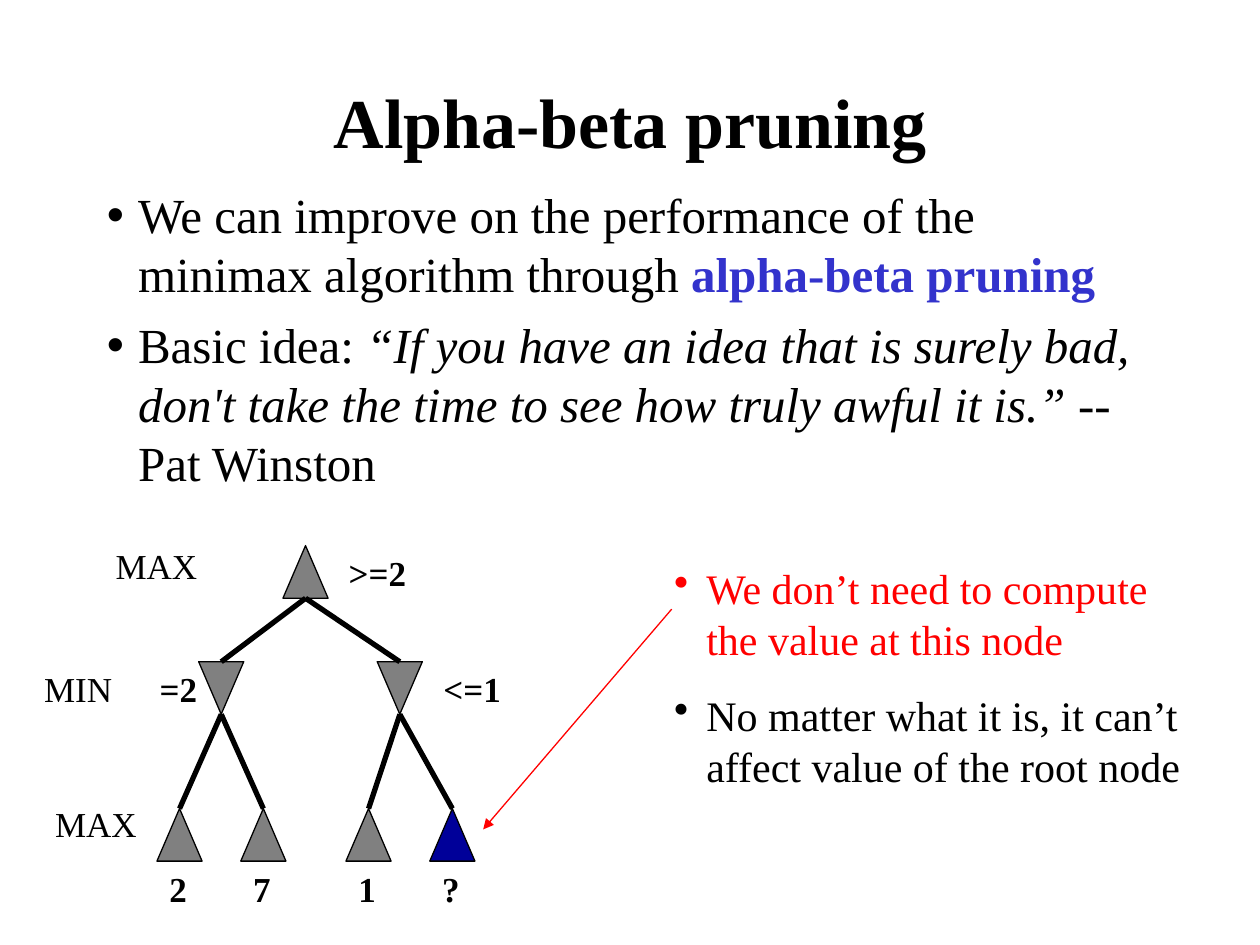
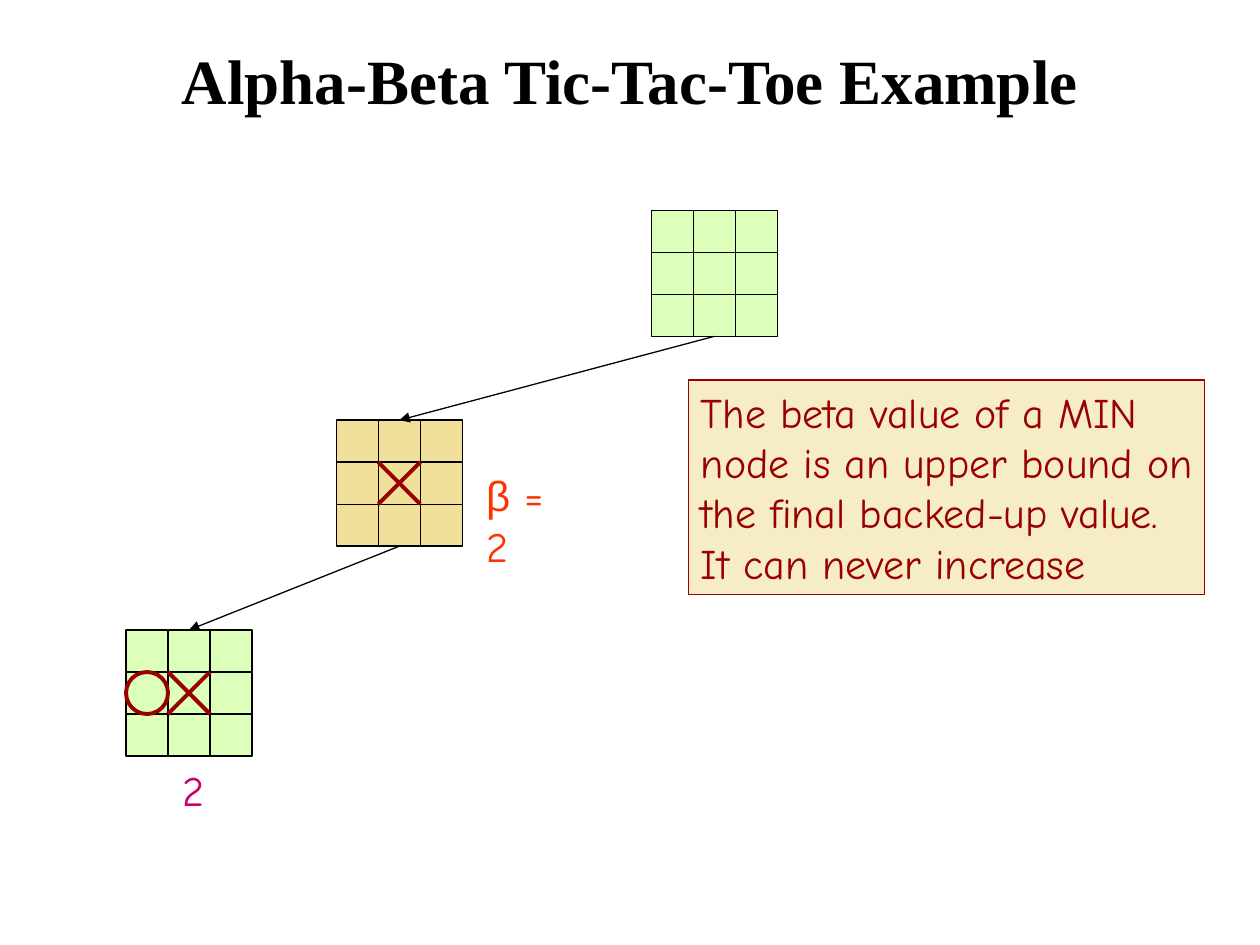
from lxml import etree
from pptx import Presentation
from pptx import util as u
from pptx.dml.color import RGBColor
from pptx.enum import shapes, text
from pptx.oxml import ns
from pptx.util import Cm

COLOURS = {
    "ink": "000000", "blue": "3333CC", "red": "FF0000", "grey": "808080",
    "navy": "000099", "maroon": "990000", "orange": "FF3300", "pink": "CC0066",
    "green": "DCFFB9", "sand": "F0E09A", "cream": "F6EDC6",
}
SERIF, HAND, SANS = "Times New Roman", "Comic Neue", "Arial"

# A span is (words, overrides of the paragraph style).
IDEAS = [
    [("We can improve on the performance of the minimax algorithm through ", {}),
     ("alpha-beta pruning", {"colour": "blue", "bold": True})],
    [("Basic idea: ", {}),
     ("“If you have an idea that is surely bad, don't take the time to see "
      "how truly awful it is.”", {"italic": True}),
     (" -- Pat Winston", {})],
]
REASONS = [
    [("We don’t need to compute the value at this node", {"colour": "red"})],
    [("No matter what it is, it can’t affect value of the root node", {})],
]

# Game tree, in cm: name -> (centre x, level, parent, fill)
NODE_W, NODE_H = 0.91, 1.06
LEVEL_TOPS = [11, 13.34, 16.3]
NODES = {
    "root": (6.16, 0, None, "grey"),
    "left": (4.46, 1, "root", "grey"),
    "right": (8.06, 1, "root", "grey"),
    "2": (3.62, 2, "left", "grey"),
    "7": (5.31, 2, "left", "grey"),
    "1": (7.43, 2, "right", "grey"),
    "?": (9.12, 2, "right", "navy"),
}
# (words, left, top, width, bold)
TREE_LABELS = [
    (">=2", 6.78, 11, 2, True),
    ("=2", 2.97, 13.34, 1.3, True),
    ("<=1", 8.69, 13.34, 2, True),
    ("MAX", 2.08, 10.85, 2.2, False),
    ("MIN", 0.64, 13.34, 1.9, False),
    ("MAX", 0.86, 16.05, 2.2, False),
]

# Boards from the root down: (left, top, fill, {(column, row): mark})
BOARD, CELL = 2.54, 2.54 / 3
BOARDS = [
    (13.13, 4.24, "green", {}),
    (6.78, 8.47, "sand", {(1, 1): "X"}),
    (2.54, 12.7, "green", {(1, 1): "X", (0, 1): "O"}),
]
BETA_RULE = ["The beta value of a MIN", "node is an upper bound on",
             "the final backed-up value.", "It can never increase"]


def rgb(name):
    return RGBColor.from_string(COLOURS[name])


def place(shape, left, top, width, height):
    shape.left, shape.top = Cm(left), Cm(top)
    shape.width, shape.height = Cm(width), Cm(height)


def write(frame, paragraphs, size, font=SERIF, colour="ink", bold=False,
          align=text.PP_ALIGN.LEFT, gap=0, bullet_indent=None):
    """Fill a text frame with paragraphs, each a list of spans."""
    for number, spans in enumerate(paragraphs):
        para = frame.add_paragraph() if number else frame.paragraphs[0]
        para.alignment = align
        para.space_before = u.Pt(gap if number else 0)
        if bullet_indent:
            props = para._p.get_or_add_pPr()
            props.set("marL", str(Cm(bullet_indent)))
            props.set("indent", str(-Cm(bullet_indent)))
            etree.SubElement(props, ns.qn("a:buChar"), char="•")
        para.font.size = u.Pt(size)
        for words, style in spans:
            span = para.add_run()
            span.text = words
            span.font.size = u.Pt(size)
            span.font.name = style.get("font", font)
            span.font.bold = style.get("bold", bold)
            span.font.italic = style.get("italic", False)
            span.font.color.rgb = rgb(style.get("colour", colour))


def add_text(parent, paragraphs, left, top, width, height, size, wrap=False, **style):
    box = parent.add_textbox(Cm(left), Cm(top), Cm(width), Cm(height))
    box.text_frame.word_wrap = wrap
    write(box.text_frame, paragraphs, size, **style)


def add_shape(parent, kind, left, top, width, height, fill=None, line="ink", weight=0.75):
    shape = parent.add_shape(kind, Cm(left), Cm(top), Cm(width), Cm(height))
    shape.shadow.inherit = False
    if fill:
        shape.fill.solid()
        shape.fill.fore_color.rgb = rgb(fill)
    else:
        shape.fill.background()
    shape.line.color.rgb = rgb(line)
    shape.line.width = u.Pt(weight)
    return shape


def add_line(parent, start, end, colour="ink", weight=0.75, arrow=False):
    line = parent.add_connector(shapes.MSO_CONNECTOR.STRAIGHT,
                                *(Cm(value) for value in (*start, *end)))
    line.line.color.rgb = rgb(colour)
    line.line.width = u.Pt(weight)
    if arrow:
        etree.SubElement(line.line._get_or_add_ln(), ns.qn("a:tailEnd"), type="triangle")
    etree.SubElement(line._element.spPr, ns.qn("a:effectLst"))


def add_slide(deck, layout, title, top, size):
    page = deck.slides.add_slide(deck.slide_layouts[layout])
    place(page.shapes.title, 1.9, top, 21.6, 3.18)
    frame = page.shapes.title.text_frame
    frame.auto_size = text.MSO_AUTO_SIZE.NONE
    frame.vertical_anchor = text.MSO_ANCHOR.MIDDLE
    write(frame, [[(title, {})]], size, bold=True, align=text.PP_ALIGN.CENTER)
    return page


def add_tree(page):
    for x, level, _, fill in NODES.values():
        node = add_shape(page.shapes, shapes.MSO_SHAPE.ISOSCELES_TRIANGLE,
                         x - NODE_W / 2, LEVEL_TOPS[level], NODE_W, NODE_H, fill)
        if level == 1:  # MIN nodes point down
            node._element.spPr.xfrm.set("flipV", "1")
    for name, (x, level, parent, _) in NODES.items():
        if parent:
            add_line(page.shapes, (x, LEVEL_TOPS[level]),
                     (NODES[parent][0], LEVEL_TOPS[level - 1] + NODE_H), weight=3)
        if level == 2:
            add_text(page.shapes, [[(name, {})]], x - NODE_W / 2, 17.36,
                     0.9, 1.12, 20, bold=True)
    for words, left, top, width, bold in TREE_LABELS:
        add_text(page.shapes, [[(words, {})]], left, top, width, 1.12, 20, bold=bold)


def add_board(page, left, top, fill, marks):
    parts = page.shapes.add_group_shape().shapes
    add_shape(parts, shapes.MSO_SHAPE.RECTANGLE, left, top, BOARD, BOARD, fill)
    for step in (CELL, 2 * CELL):
        add_line(parts, (left + step, top), (left + step, top + BOARD))
        add_line(parts, (left, top + step), (left + BOARD, top + step))
    for (column, row), mark in marks.items():
        x, y = left + column * CELL, top + row * CELL
        if mark == "O":
            add_shape(parts, shapes.MSO_SHAPE.OVAL, x, y, CELL, CELL,
                      line="maroon", weight=2.25)
        else:
            add_line(parts, (x, y), (x + CELL, y + CELL), "maroon", 2.25)
            add_line(parts, (x, y + CELL), (x + CELL, y), "maroon", 2.25)


def build_pruning(deck):
    page = add_slide(deck, 1, "Alpha-beta pruning", 0.84, 40)
    body = page.placeholders[1]
    place(body, 1.9, 3.6, 21.6, 11.43)
    body.text_frame.auto_size = text.MSO_AUTO_SIZE.NONE
    write(body.text_frame, IDEAS, 28, gap=7, bullet_indent=0.63)
    add_tree(page)
    add_text(page.shapes, REASONS, 13.34, 11.22, 11.22, 4.85, 24, wrap=True,
             gap=15, bullet_indent=0.65)
    add_line(page.shapes, (13.54, 12.28), (9.74, 16.72), "red", arrow=True)


def build_tic_tac_toe(deck):
    page = add_slide(deck, 5, "Alpha-Beta Tic-Tac-Toe Example", 0, 36)
    for board in BOARDS:
        add_board(page, *board)
    for (left, top, *_), (next_left, next_top, *_) in zip(BOARDS, BOARDS[1:]):
        add_line(page.shapes, (left + BOARD / 2, top + BOARD),
                 (next_left + BOARD / 2, next_top), arrow=True)
    add_text(page.shapes, [[("β", {"font": SANS}), (" = 2", {})]],
             9.55, 9.35, 2.36, 1.27, 24, wrap=True, font=HAND, colour="orange")
    add_text(page.shapes, [[("2", {})]], 3.43, 15.28, 0.94, 1.27, 24,
             font=HAND, colour="pink")
    note = add_shape(page.shapes, shapes.MSO_SHAPE.RECTANGLE, 13.88, 7.66, 10.41, 4.32,
                     "cream", "maroon")
    note.text_frame.word_wrap = False
    note.text_frame.vertical_anchor = text.MSO_ANCHOR.TOP
    write(note.text_frame, [[(words, {})] for words in BETA_RULE], 24,
          font=HAND, colour="maroon")


def main():
    deck = Presentation()
    deck.slide_width, deck.slide_height = Cm(25.4), Cm(19.05)
    build_pruning(deck)
    build_tic_tac_toe(deck)
    deck.save("out.pptx")


if __name__ == "__main__":
    main()
